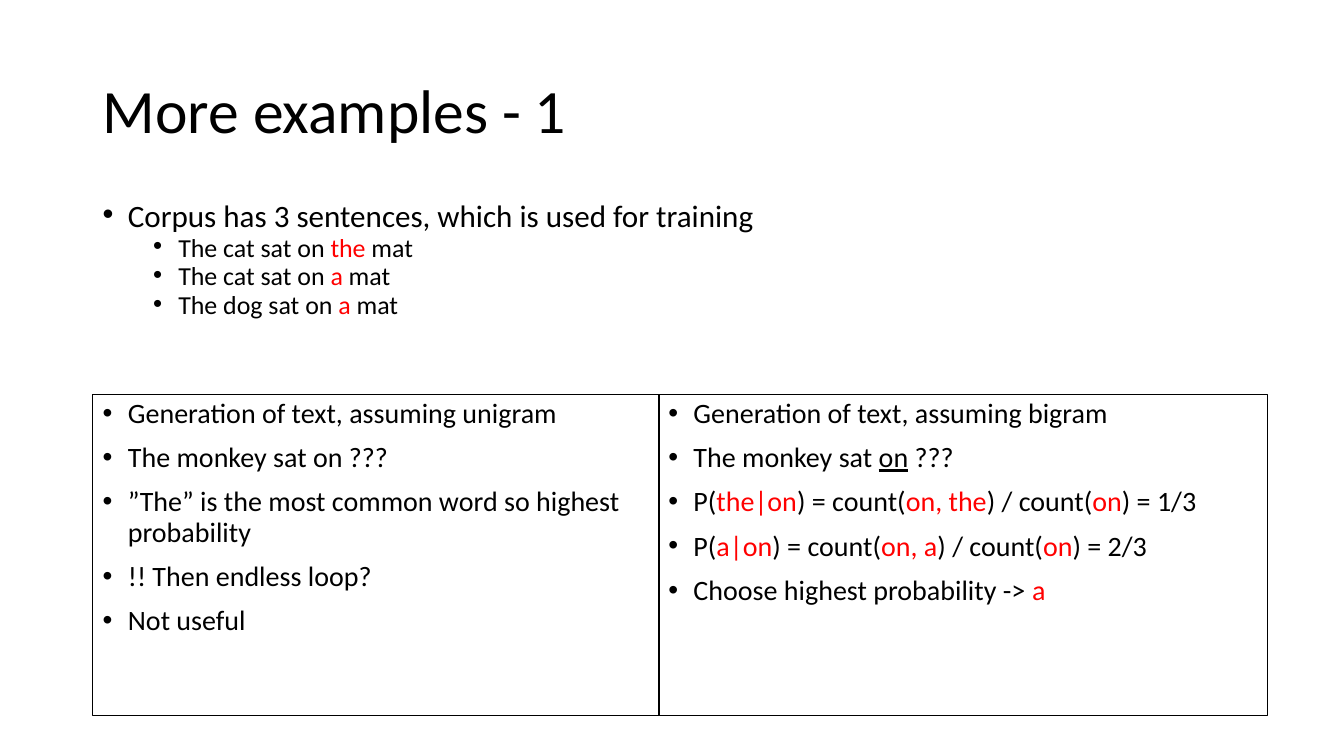
from lxml import etree
from pptx import Presentation
from pptx import util as u
from pptx.dml.color import RGBColor
from pptx.enum import shapes, text
from pptx.oxml.ns import qn

BLACK, RED = "000000", "FF0000"


def rgb(value):
    return RGBColor.from_string(value)


def red(words):
    return words, RED, False


def underlined(words):
    return words, BLACK, True


class Deck:
    font = "Calibri"

    def __init__(self):
        self.prs = Presentation()
        self.prs.slide_width = u.Inches(13.33)
        self.prs.slide_height = u.Inches(7.5)
        self.s = self.prs.slides.add_slide(self.prs.slide_layouts[6])

    def text_box(self, left, top, width, height, anchor=text.MSO_ANCHOR.TOP):
        sp = self.s.shapes.add_textbox(*map(u.Inches, (left, top, width, height)))
        return self.frame(sp, anchor)

    def panel(self, left, top, width, height):
        """Add an outlined, unfilled rectangle and return its text frame."""
        sp = self.s.shapes.add_shape(
            shapes.MSO_SHAPE.RECTANGLE, *map(u.Inches, (left, top, width, height)))
        sp.shadow.inherit = False
        sp.fill.background()
        sp.line.color.rgb = rgb(BLACK)
        sp.line.width = u.Pt(0.75)
        return self.frame(sp, text.MSO_ANCHOR.TOP)

    def frame(self, sp, anchor):
        tf = sp.text_frame
        tf.word_wrap = True
        tf.vertical_anchor = anchor
        return tf

    def paragraph(self, tf, runs, size, spacing=0.9, before=0, level=None):
        """Add a paragraph; a level of 0 or more makes it a bullet."""
        first = not tf.paragraphs[0].runs
        p = tf.paragraphs[0] if first else tf.add_paragraph()
        p.alignment = text.PP_ALIGN.LEFT
        if level is not None:
            self.bullet(p, level)
        p.line_spacing = spacing
        p.space_before = u.Pt(0 if first else before)
        for run in runs:
            words, color, underline = (run, BLACK, False) if isinstance(run, str) else run
            r = p.add_run()
            r.text = words
            r.font.name = self.font
            r.font.size = u.Pt(size)
            r.font.color.rgb = rgb(color)
            if underline:
                r.font.underline = True

    def bullet(self, p, level):
        p.level = level
        pPr = p._p.get_or_add_pPr()
        pPr.set("marL", str(u.Inches(0.25 + 0.5 * level)))
        pPr.set("indent", str(u.Inches(-0.25)))
        etree.SubElement(pPr, qn("a:buFont")).set("typeface", "Arial")
        etree.SubElement(pPr, qn("a:buChar")).set("char", "•")


def probability(word, value):
    return ["P(", red(f"{word}|on"), ") = count(", red(f"on, {word}"),
            ") / count(", red("on"), f") = {value}"]


def main():
    deck = Deck()
    left, right, width = 0.92, 6.53, 11.5

    title = deck.text_box(left, 0.4, width, 1.45, text.MSO_ANCHOR.MIDDLE)
    deck.paragraph(title, ["More examples - 1"], 44)

    corpus = deck.text_box(left, 2, width, 1.25)
    deck.paragraph(corpus, ["Corpus has 3 sentences, which is used for training"],
                   22.2, spacing=0.7, level=0)
    for animal, article in (("cat", "the"), ("cat", "a"), ("dog", "a")):
        deck.paragraph(corpus, [f"The {animal} sat on ", red(article), " mat"],
                       18.5, spacing=0.7, before=5, level=1)

    unigram = [
        ["Generation of text, assuming unigram"],
        ["The monkey sat on ???"],
        ["”The” is the most common word so highest probability"],
        ["!! Then endless loop?"],
        ["Not useful"],
    ]
    bigram = [
        ["Generation of text, assuming bigram"],
        ["The monkey sat ", underlined("on"), " ???"],
        probability("the", "1/3"),
        probability("a", "2/3"),
        ["Choose highest probability -> ", red("a")],
    ]
    for x, panel_width, lines in ((left, 5.62, unigram), (right, 6.04, bigram)):
        tf = deck.panel(x, 3.91, panel_width, 3.19)
        for runs in lines:
            deck.paragraph(tf, runs, 20, before=10, level=0)

    deck.prs.save("out.pptx")


if __name__ == "__main__":
    main()
